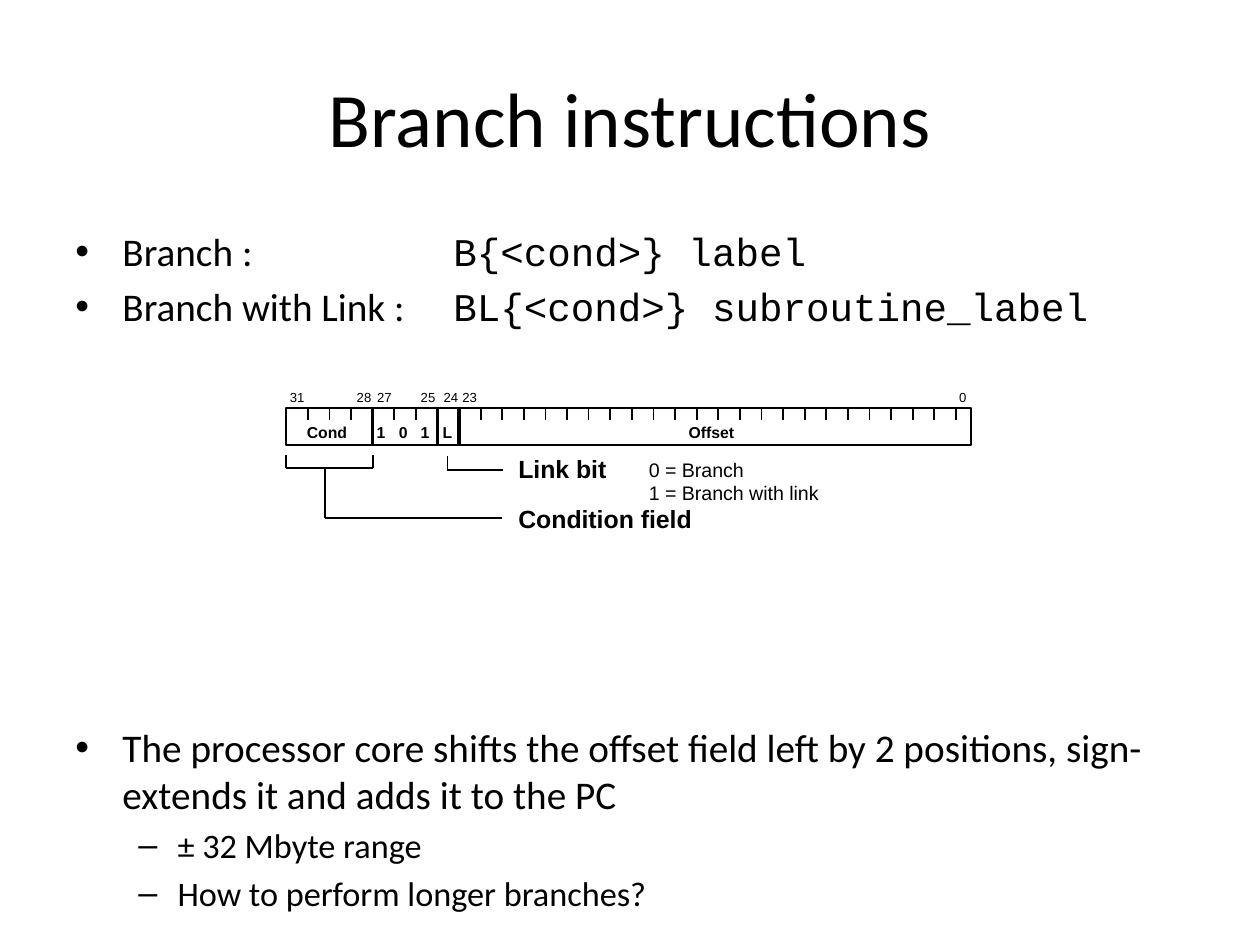
"""Builds the slide on branch instructions and their bit layout."""
from lxml import etree
from pptx import Presentation, util as u
from pptx.dml.color import RGBColor
from pptx.enum import shapes, text
from pptx.oxml.ns import qn

BLACK = RGBColor(0, 0, 0)
CENTER = text.PP_ALIGN.CENTER
MIDDLE = text.MSO_ANCHOR.MIDDLE


def add_run(p, words, size=22.4, font="Calibri", bold=False):
    r = p.add_run()
    r.text = words
    r.font.size, r.font.name, r.font.bold = u.Pt(size), font, bold
    r.font.color.rgb = BLACK


class Deck:
    """Holds the style and the current slide."""

    def __init__(self, width, height):
        self.prs = Presentation()
        self.prs.slide_width, self.prs.slide_height = u.Cm(width), u.Cm(height)
        self.s = self.prs.slides.add_slide(self.prs.slide_layouts[6])

    def box(self, x, y, w, h, inset=(0, 0), anchor=text.MSO_ANCHOR.TOP):
        tf = self.s.shapes.add_textbox(u.Cm(x), u.Cm(y), u.Cm(w), u.Cm(h)).text_frame
        tf.word_wrap, tf.vertical_anchor = True, anchor
        tf.margin_left = tf.margin_right = u.Cm(inset[0])
        tf.margin_top = tf.margin_bottom = u.Cm(inset[1])
        return tf

    def label(self, x, y, w, h, lines, align=None, anchor=MIDDLE, **style):
        tf = self.box(x, y, w, h, anchor=anchor)
        for i, line in enumerate(lines.split("\n")):
            p = tf.add_paragraph() if i else tf.paragraphs[0]
            p.alignment = align
            add_run(p, line, **style)

    def centred(self, x, y, words, w=0.8, **style):
        self.label(x - w / 2, y, w, 0.43, words, CENTER, font="Arial", **style)

    def bullets(self, x, y, w, h, items):
        tf = self.box(x, y, w, h, (0.25, 0.13))
        for i, (level, runs) in enumerate(items):
            p = tf.add_paragraph() if i else tf.paragraphs[0]
            size, indent, hang, mark = ((22.4, 0.95, 0.95, "•"), (19.6, 2.06, 0.79, "–"))[level]
            p.level = level
            p.space_before = u.Pt(0.2 * size if i else 0)
            pPr = p._p.get_or_add_pPr()
            pPr.set("marL", str(u.Cm(indent)))
            pPr.set("indent", str(-u.Cm(hang)))
            etree.SubElement(pPr, qn("a:buFont"), typeface="Arial")
            etree.SubElement(pPr, qn("a:buChar"), char=mark)
            tabs = etree.SubElement(pPr, qn("a:tabLst"))
            etree.SubElement(tabs, qn("a:tab"), pos=str(u.Cm(7.62)), algn="l")
            for words, font in runs:
                add_run(p, words, size, font)

    def outline(self, x, y, w, h):
        sp = self.s.shapes.add_shape(
            shapes.MSO_SHAPE.RECTANGLE, u.Cm(x), u.Cm(y), u.Cm(w), u.Cm(h))
        sp.shadow.inherit = False
        sp.fill.background()
        sp.line.color.rgb, sp.line.width = BLACK, u.Pt(1)

    def lines(self, *points, width=1):
        for start, end in zip(points, points[1:]):
            c = self.s.shapes.add_connector(
                shapes.MSO_CONNECTOR.STRAIGHT, *(u.Cm(v) for v in start + end))
            c.line.color.rgb, c.line.width = BLACK, u.Pt(width)
            etree.SubElement(c._element.spPr, qn("a:effectLst"))


def draw_encoding(deck):
    left, top, height, bit = 5.77, 8.23, 0.74, 13.5 / 31
    deck.outline(left, top, 13.81, height)
    for i in range(32):
        divider = i in (4, 7, 8)
        x = left + i * bit
        deck.lines((x, top), (x, top + (height if divider else 0.23)),
                   width=2 if divider else 1)

    for number, x in ((31, 5.99), (28, 7.34), (27, 7.75), (25, 8.63),
                      (24, 9.09), (23, 9.47), (0, 19.41)):
        deck.centred(x, 7.79, str(number), size=7.5)
    for name, x, w in (("Cond", 6.59, 1.6), ("1", 7.68, 0.4), ("0", 8.13, 0.4),
                       ("1", 8.57, 0.4), ("L", 9.02, 0.4), ("Offset", 14.34, 3)):
        deck.centred(x, 8.5, name, w, size=9, bold=True)

    deck.lines((left, 9.17), (left, 9.43), (7.52, 9.43), (7.52, 9.17))
    deck.lines((6.55, 9.43), (6.55, 10.44), (10.11, 10.44))
    deck.lines((9.02, 9.19), (9.02, 9.47), (10.13, 9.47))
    for name, y in (("Link bit", 9.15), ("Condition field", 10.16)):
        deck.label(10.45, y, 4, 0.6, name, size=14.2, font="Arial", bold=True)
    deck.label(13.08, 9.24, 4.5, 0.92, "0 = Branch\n1 = Branch with link",
               size=11.2, font="Arial")


def main():
    deck = Deck(25.4, 19.05)
    deck.label(1.27, 0.76, 22.86, 3.18, "Branch instructions", CENTER, size=44)
    deck.bullets(1.27, 4.45, 22.86, 2.4, [
        (0, [("Branch :\t", "Calibri"), ("B{<cond>} label", "Courier New")]),
        (0, [("Branch with Link :\t", "Calibri"),
             ("BL{<cond>} subroutine_label", "Courier New")]),
    ])
    draw_encoding(deck)
    deck.bullets(1.27, 14.45, 22.86, 4.2, [
        (0, [("The processor core shifts the offset field left by 2 positions, "
              "sign-extends it and adds it to the PC", "Calibri")]),
        (1, [("± 32 Mbyte range", "Calibri")]),
        (1, [("How to perform longer branches?", "Calibri")]),
    ])
    deck.prs.save("out.pptx")


if __name__ == "__main__":
    main()
